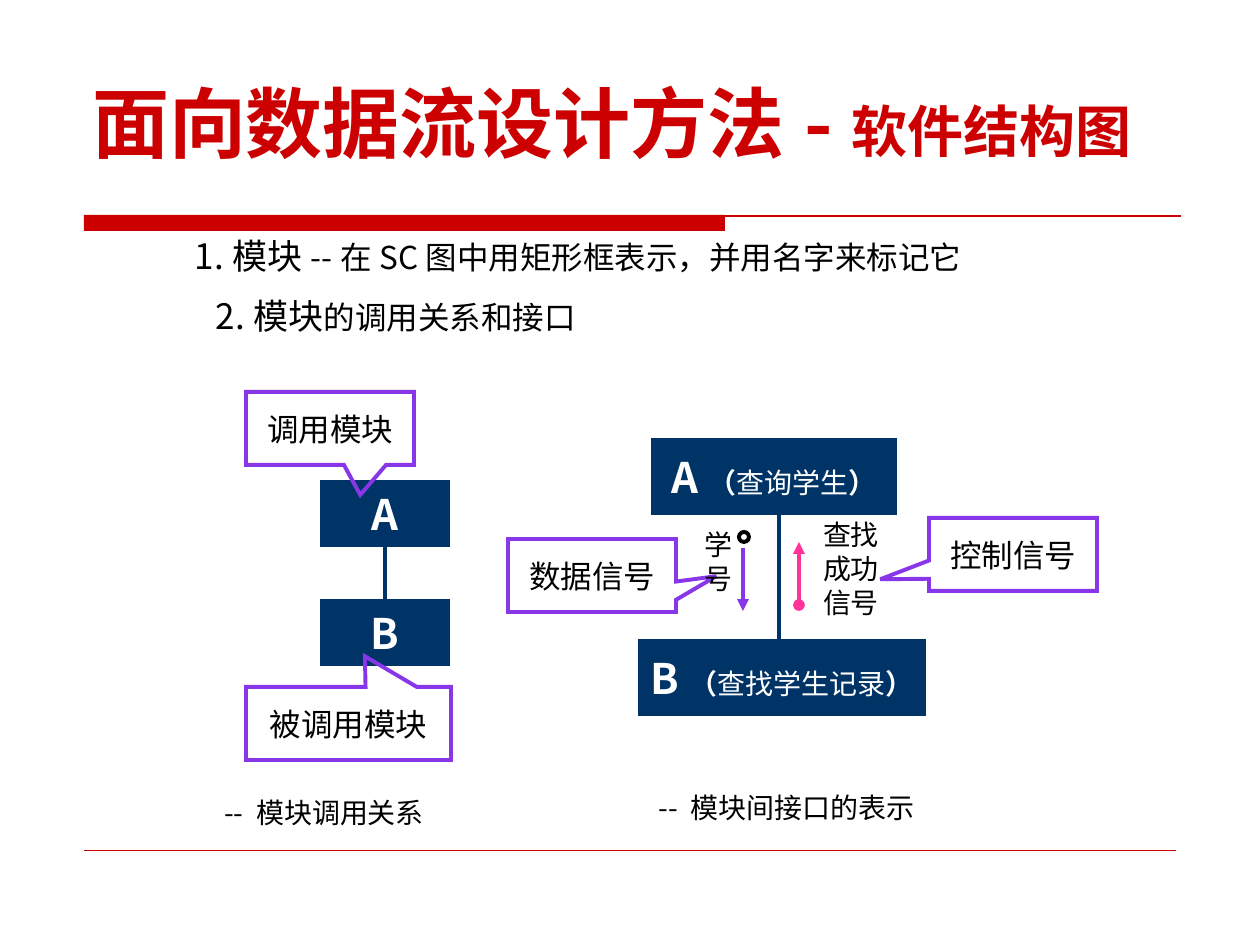
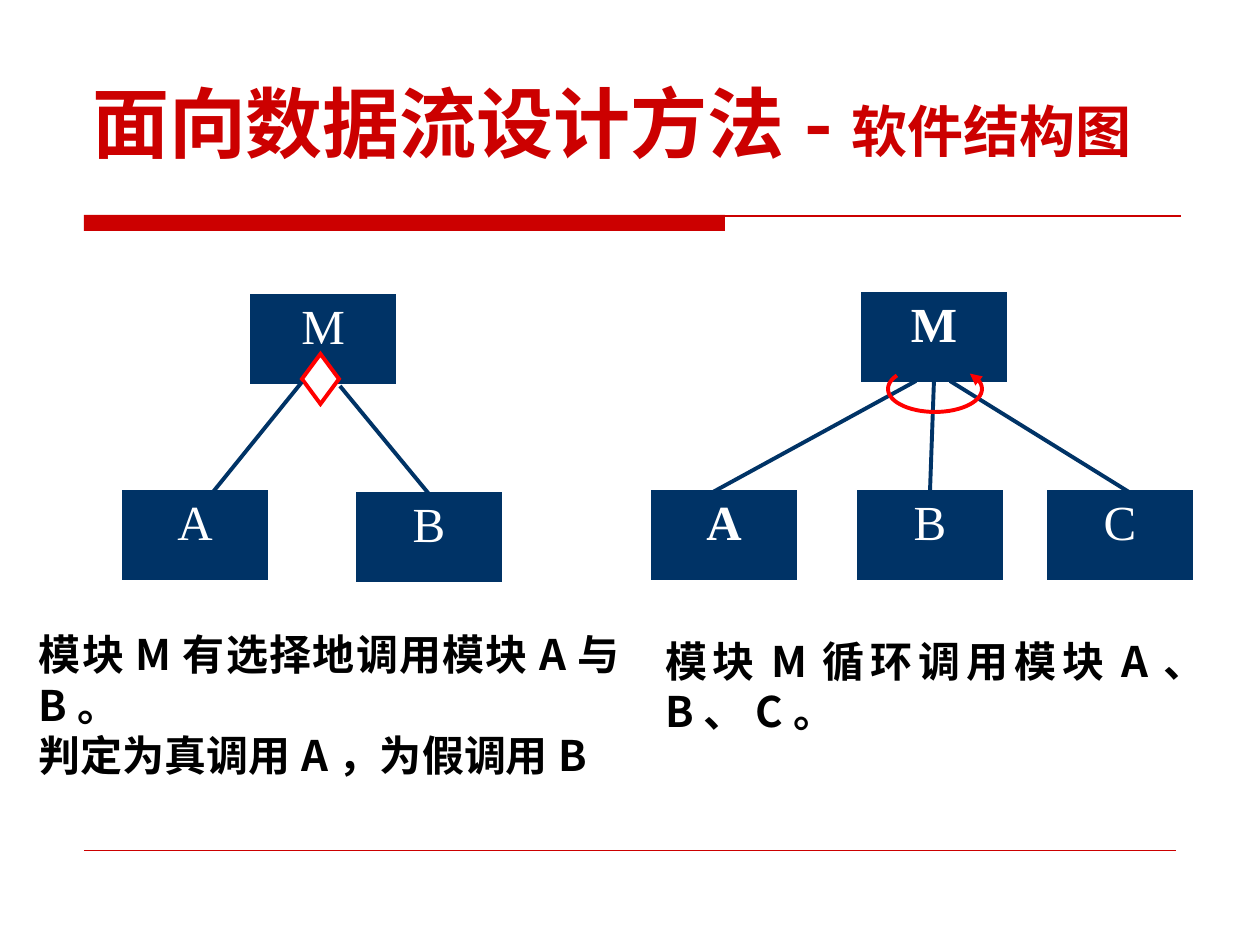
"""Builds two slides on structure charts for data-flow design."""
from math import cos, radians, sin

from lxml.etree import SubElement
from pptx import Presentation
from pptx.dml.color import RGBColor
from pptx.enum.shapes import MSO_CONNECTOR, MSO_SHAPE
from pptx.enum.text import MSO_ANCHOR, PP_ALIGN
from pptx.oxml.ns import qn
from pptx.util import Emu, Pt

PX_PER_INCH = 126
SANS = "Noto Sans CJK SC"
SERIF = "Times New Roman"
RED = RGBColor(0xCC, 0x00, 0x00)
BRIGHT_RED = RGBColor(0xFF, 0x00, 0x00)
NAVY = RGBColor(0x00, 0x33, 0x66)
PURPLE = RGBColor(0x87, 0x36, 0xE8)
PINK = RGBColor(0xFF, 0x33, 0x99)
BLACK = RGBColor(0x00, 0x00, 0x00)
WHITE = RGBColor(0xFF, 0xFF, 0xFF)
LINE_WIDTH = 2.25
PADDING = (13, 6, 13, 6)
NO_PADDING = (0, 0, 0, 0)
NODE_SIZE = (142, 86)


def px(value):
    """Turn pixels into EMU."""
    return Emu(round(value * 914400 / PX_PER_INCH))


def write(shape, paragraphs, color=BLACK, font=SANS, align=PP_ALIGN.CENTER,
          anchor=MSO_ANCHOR.MIDDLE, padding=PADDING, wrap=False):
    """Fill a shape with paragraphs, each a list of (text, size, bold) spans."""
    frame = shape.text_frame
    frame.word_wrap = wrap
    frame.vertical_anchor = anchor
    (frame.margin_left, frame.margin_top,
     frame.margin_right, frame.margin_bottom) = map(px, padding)
    for index, spans in enumerate(paragraphs):
        para = frame.add_paragraph() if index else frame.paragraphs[0]
        para.alignment = align
        for text, size, bold in spans:
            span = para.add_run()
            span.text = text
            span.font.size = Pt(size)
            span.font.bold = bold
            span.font.name = font
            span.font.color.rgb = color
            east_asian = SubElement(span.font._element, qn("a:ea"))
            east_asian.set("typeface", font)


def add_text(page, area, paragraphs, **style):
    """Add a text box."""
    box = page.shapes.add_textbox(*map(px, area))
    write(box, paragraphs, **style)


def paint(shape, fill, line):
    """Set fill and sharp-cornered outline without shadow; None means empty."""
    shape.shadow.inherit = False
    if fill is None:
        shape.fill.background()
    else:
        shape.fill.solid()
        shape.fill.fore_color.rgb = fill
    if line is None:
        shape.line.fill.background()
    else:
        shape.line.color.rgb = line
        shape.line.width = Pt(LINE_WIDTH)
        SubElement(shape.line._get_or_add_ln(), qn("a:miter")).set("lim", "800000")


def add_box(page, area, fill, line, kind=MSO_SHAPE.RECTANGLE):
    """Add a painted preset shape."""
    box = page.shapes.add_shape(kind, *map(px, area))
    paint(box, fill, line)
    return box


def add_module(page, area, spans):
    """Add a navy module box with sans text."""
    box = add_box(page, area, NAVY, NAVY)
    write(box, [spans], color=WHITE)
    return box


def add_node(page, left, top, name, bold=False):
    """Add a navy tree node with a serif letter."""
    box = add_box(page, (left, top, *NODE_SIZE), NAVY, NAVY)
    write(box, [[(name, 28, bold)]], color=WHITE, font=SERIF,
          anchor=MSO_ANCHOR.TOP, padding=NO_PADDING, wrap=True)
    return box


def add_callout(page, area, text, tip):
    """Add an open callout; tip is its pointer relative to the centre."""
    box = add_box(page, area, None, PURPLE, MSO_SHAPE.RECTANGULAR_CALLOUT)
    box.adjustments[0], box.adjustments[1] = tip
    write(box, [[(text, 18, False)]], wrap=True)


def add_caption(page, area, text):
    """Add a caption on white."""
    write(add_box(page, area, WHITE, WHITE), [[(text, 16, False)]])


def add_ends(shape, head=None, tail=None):
    """Put arrowheads on a line."""
    line = shape.line._get_or_add_ln()
    for tag, kind in (("a:headEnd", head), ("a:tailEnd", tail)):
        if kind:
            SubElement(line, qn(tag)).set("type", kind)


def add_line(page, start, end, color=NAVY, width=LINE_WIDTH, head=None, tail=None):
    """Join two ends, each a point or a box with a side number."""
    points = [(0, 0) if hasattr(spot[0], "shape_id") else spot for spot in (start, end)]
    line = page.shapes.add_connector(
        MSO_CONNECTOR.STRAIGHT, *(px(value) for point in points for value in point))
    for spot, connect in ((start, line.begin_connect), (end, line.end_connect)):
        if hasattr(spot[0], "shape_id"):
            connect(*spot)
    line.line.color.rgb = color
    line.line.width = Pt(width)
    add_ends(line, head, tail)
    SubElement(line._element.spPr, qn("a:effectLst"))


def add_loop(page, center, radii, first, last):
    """Draw an open elliptic arc between two angles, with an arrow at its start."""
    points = [(px(center[0] + radii[0] * cos(radians(angle))),
               px(center[1] + radii[1] * sin(radians(angle))))
              for angle in range(first, last + 1, 6)]
    outline = page.shapes.build_freeform(*points[0])
    outline.add_line_segments(points[1:], close=False)
    loop = outline.convert_to_shape()
    paint(loop, None, BRIGHT_RED)
    add_ends(loop, head="triangle")


def start_page(deck):
    """Add a slide with the shared title, band and footer line."""
    page = deck.slides.add_slide(deck.slide_layouts[6])
    add_box(page, (84, 215, 641, 16), RED, None)
    add_line(page, (84, 216), (1181, 216), RED, 0.75)
    add_line(page, (84, 850), (1176, 850), RED, 0.25)
    add_text(page, (79, 42, 1102, 132),
             [[("面向数据流设计方法-", 44, True), ("软件结构图", 32, True)]],
             color=RED, align=PP_ALIGN.LEFT, anchor=MSO_ANCHOR.BOTTOM, wrap=True)
    return page


def build_interface_page(deck):
    """Show how modules call each other and pass signals."""
    page = start_page(deck)
    add_text(page, (164, 224, 828, 63),
             [[("1.模块", 20, False),
               ("--在SC图中用矩形框表示，并用名字来标记它", 18, False)]])
    add_text(page, (203, 284, 399, 63),
             [[("2.模块", 20, False), ("的调用关系和接口", 18, False)]],
             align=PP_ALIGN.LEFT)

    caller = add_module(page, (322, 482, 126, 63), [("A", 24, True)])
    called = add_module(page, (322, 601, 126, 63), [("B", 24, True)])
    add_line(page, (caller, 2), (called, 0))
    add_caption(page, (193, 781, 262, 63), "-- 模块调用关系")

    for area, name, task in (((653, 440, 242, 73), "A", "查询学生"),
                             ((640, 641, 284, 73), "B", "查找学生记录")):
        add_module(page, area, [(name, 24, True), ("（", 16, True),
                                (task, 16, False), ("）", 16, True)])
    add_line(page, (779, 503), (779, 639))
    add_caption(page, (634, 781, 305, 53), "-- 模块间接口的表示")

    for area, text, tip in (
            ((246, 687, 205, 73), "被调用模块", (0.08, -0.92)),
            ((246, 392, 168, 73), "调用模块", (0.18, 0.91)),
            ((508, 539, 168, 73), "数据信号", (0.74, 0.01)),
            ((929, 518, 168, 73), "控制信号", (-0.79, 0.34))):
        add_callout(page, area, text, tip)

    add_text(page, (692, 522, 53, 81),
             [[("学", 16, False)], [("号", 16, False)]], anchor=MSO_ANCHOR.TOP)
    add_text(page, (809, 512, 84, 113),
             [[("查找成功信号", 16, False)]], anchor=MSO_ANCHOR.TOP, wrap=True)
    add_line(page, (799, 542), (799, 605), PINK, head="triangle", tail="oval")
    add_line(page, (743, 548), (743, 611), PURPLE, tail="triangle")
    add_box(page, (739, 532, 10, 10), None, BLACK, MSO_SHAPE.OVAL)


def build_control_page(deck):
    """Show a conditional call and a repeated call."""
    page = start_page(deck)
    add_node(page, 252, 296, "M")
    add_node(page, 124, 492, "A")
    choice_b = add_node(page, 358, 494, "B")
    add_box(page, (302, 354, 37, 50), WHITE, BRIGHT_RED, MSO_SHAPE.FLOWCHART_DECISION)
    add_line(page, (302, 382), (213, 492))
    add_line(page, (340, 386), (choice_b, 0))

    loop_m = add_node(page, 863, 294, "M", bold=True)
    for left, name, bold in ((653, "A", True), (1049, "C", False)):
        add_node(page, left, 492, name, bold)
    loop_b = add_node(page, 859, 492, "B")
    add_line(page, (916, 381), (713, 492))
    add_line(page, (loop_m, 2), (loop_b, 0))
    add_line(page, (950, 381), (1129, 492))
    add_loop(page, (935, 389), (47, 23), -42, 216)

    for area, lines in (
            ((39, 629, 591, 111), ("模块M有选择地调用模块A与B。", "判定为真调用A，为假调用B")),
            ((665, 635, 551, 106), ("模块M循环调用模块A、B、C。",))):
        add_text(page, area, [[(line, 24, True)] for line in lines],
                 align=PP_ALIGN.JUSTIFY, anchor=MSO_ANCHOR.TOP,
                 padding=NO_PADDING, wrap=True)


def main():
    """Build and save the deck."""
    deck = Presentation()
    deck.slide_width, deck.slide_height = px(1260), px(945)
    build_interface_page(deck)
    build_control_page(deck)
    deck.save("out.pptx")


if __name__ == "__main__":
    main()
